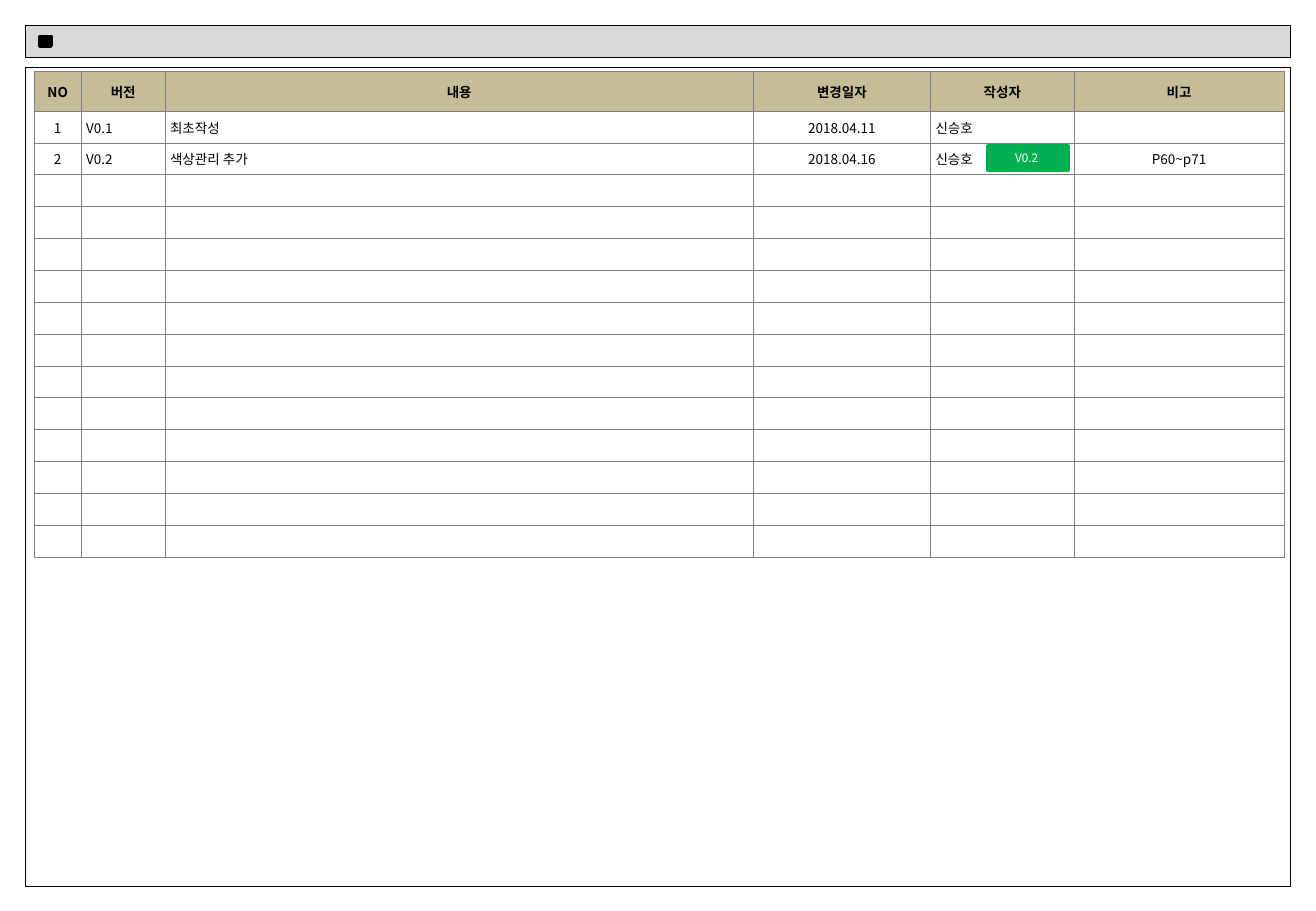
from typing import NamedTuple

import pptx
import pptx.dml.color
import pptx.enum.shapes
import pptx.enum.text
import pptx.oxml.ns
import pptx.util
from lxml import etree

# The slide is a grid of 1083 columns by 750 rows.
COLS, ROWS = 1083, 750
WIDE, HIGH = pptx.util.Inches(10.83), pptx.util.Inches(7.5)
FONT = "Noto Sans CJK KR"
MID = pptx.enum.text.MSO_ANCHOR.MIDDLE
CENTER = pptx.enum.text.PP_ALIGN.CENTER
LEFT = pptx.enum.text.PP_ALIGN.LEFT


class Box(NamedTuple):
    left: float
    top: float
    width: float
    height: float


class Panel(NamedTuple):
    box: Box
    fill: str
    line: str
    weight: float
    text: str = ""


class Column(NamedTuple):
    title: str
    width: float
    align: pptx.enum.text.PP_ALIGN


PANELS = [
    Panel(Box(21, 21, 1041, 26), "D9D9D9", "000000", 0.25),
    Panel(Box(33, 30, 9, 8), "000000", "000000", 2),
    Panel(Box(21, 55, 1041, 675), "FFFFFF", "000000", 0.25),
]
BADGE = Panel(Box(813, 120, 66, 20), "00B050", "00B050", 2, "V0.2 ")

TABLE = Box(28, 59, 1029, 400)
HEAD, LINES = 32.5, 14
COLUMNS = [
    Column("NO", 39, CENTER),
    Column("버전", 69, LEFT),
    Column("내용", 484, LEFT),
    Column("변경일자", 146, CENTER),
    Column("작성자", 118, LEFT),
    Column("비고", 173, CENTER),
]
CHANGES = [
    ("1", "V0.1", "최초작성", "2018.04.11", "신승호", ""),
    ("2", "V0.2", "색상관리 추가", "2018.04.16", "신승호", "P60~p71"),
]


def across(cols: float) -> int:
    return round(WIDE * cols / COLS)


def down(rows: float) -> int:
    return round(HIGH * rows / ROWS)


def place(box: Box) -> tuple[int, int, int, int]:
    return across(box.left), down(box.top), across(box.width), down(box.height)


def paint(target, color: str) -> None:
    """Give a fill, or the fill of a line, one solid colour."""
    target.solid()
    target.fore_color.rgb = pptx.dml.color.RGBColor.from_string(color)


def add(parent, tag: str, **attrs: str):
    return etree.SubElement(parent, pptx.oxml.ns.qn(tag), **attrs)


def write(frame, text: str, size: float, color: str, align, bold: bool = False) -> None:
    para = frame.paragraphs[0]
    para.alignment = align
    if not text:
        # An empty cell needs a small font to keep its row low.
        add(para._p, "a:endParaRPr", sz=str(round(size * 100)))
        return
    run = para.add_run()
    run.text = text
    font = run.font
    font.size, font.bold, font.name = pptx.util.Pt(size), bold, FONT
    paint(font.fill, color)
    add(font._element, "a:ea", typeface=FONT)


def draw(slide, panel: Panel) -> None:
    kind = pptx.enum.shapes.MSO_SHAPE.RECTANGLE
    shape = slide.shapes.add_shape(kind, *place(panel.box))
    shape.shadow.inherit = False
    paint(shape.fill, panel.fill)
    paint(shape.line.fill, panel.line)
    shape.line.width = pptx.util.Pt(panel.weight)
    if panel.text:
        shape.text_frame.vertical_anchor = MID
        write(shape.text_frame, panel.text, 7, "FFFFFF", CENTER)


def border(cell, color: str, weight: float) -> None:
    props = cell._tc.get_or_add_tcPr()
    for side in "LRTB":
        line = add(props, f"a:ln{side}", w=str(pptx.util.Pt(weight)))
        add(add(line, "a:solidFill"), "a:srgbClr", val=color)


def log(slide) -> None:
    """Draw the table of changes."""
    frame = slide.shapes.add_table(LINES + 1, len(COLUMNS), *place(TABLE))
    table = frame.table
    table.horz_banding = False
    for part, column in zip(table.columns, COLUMNS):
        part.width = across(column.width)
    blank = ("",) * len(COLUMNS)
    titles = tuple(column.title for column in COLUMNS)
    texts = [titles, *CHANGES] + [blank] * (LINES - len(CHANGES))
    for index, (row, words) in enumerate(zip(table.rows, texts)):
        head = index == 0
        row.height = down(HEAD if head else (TABLE.height - HEAD) / LINES)
        for cell, word, column in zip(row.cells, words, COLUMNS):
            border(cell, "808080", 0.5)
            paint(cell.fill, "C4BD97" if head else "FFFFFF")
            cell.vertical_anchor = MID
            cell.margin_left = cell.margin_right = across(4)
            cell.margin_top = cell.margin_bottom = down(2)
            align = CENTER if head else column.align
            write(cell.text_frame, word, 8, "000000", align, head)


def main() -> None:
    deck = pptx.Presentation()
    deck.slide_width, deck.slide_height = WIDE, HIGH
    slide = deck.slides.add_slide(deck.slide_layouts[6])
    for panel in PANELS:
        draw(slide, panel)
    log(slide)
    draw(slide, BADGE)
    deck.save("out.pptx")


if __name__ == "__main__":
    main()
